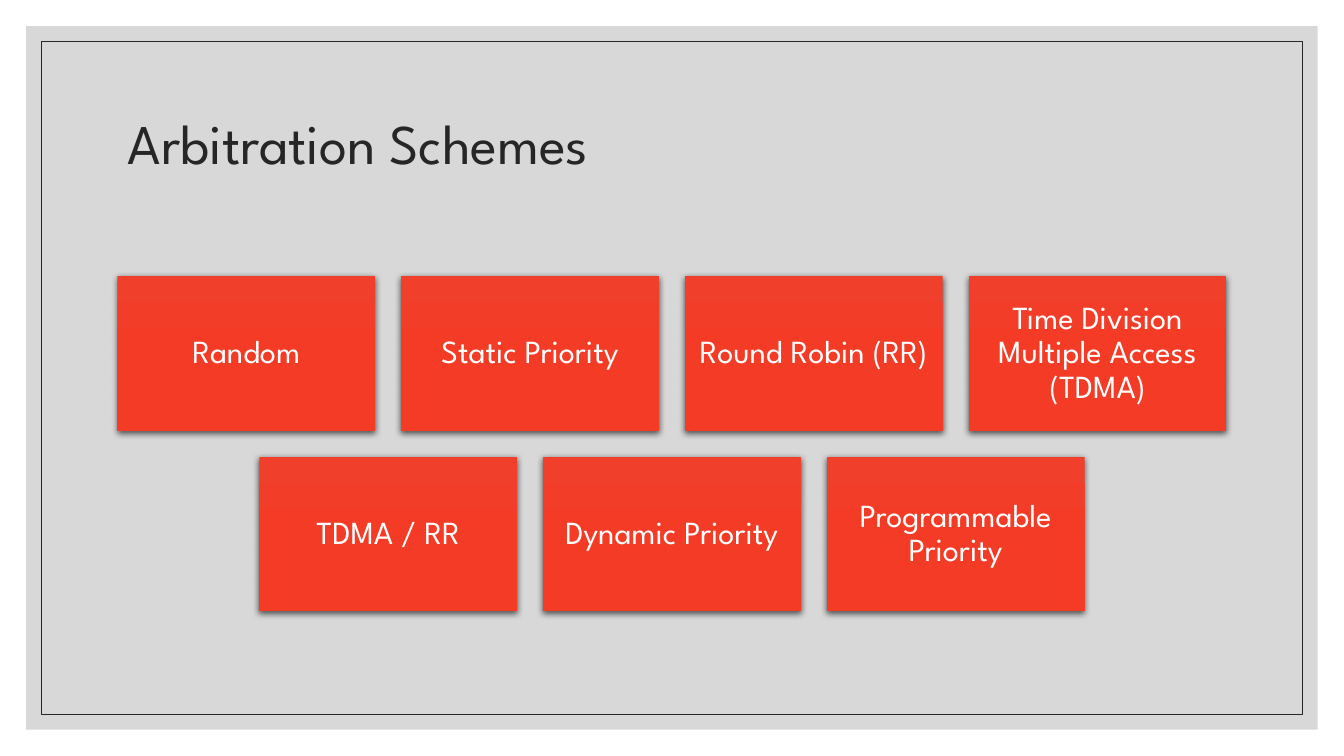
from lxml import etree
from pptx import Presentation
from pptx.dml.color import RGBColor
from pptx.enum.shapes import MSO_SHAPE as Preset
from pptx.enum.text import MSO_ANCHOR as Anchor, MSO_AUTO_SIZE as AutoSize, PP_ALIGN as Align
from pptx.oxml import parse_xml
from pptx.oxml.ns import nsdecls, qn
from pptx.util import Cm, Pt

SLIDE_WIDTH, SLIDE_HEIGHT = 33.87, 19.05
PANEL_MARGIN, BORDER_MARGIN = 0.66, 1.04
CARD_WIDTH, CARD_HEIGHT, CARD_GAP = 6.5, 3.9, 0.65
CARDS_TOP = 6.96

FONT = "League Spartan"
GREY = RGBColor(0xBF, 0xBF, 0xBF)
DARK = RGBColor(0x26, 0x26, 0x26)
WHITE = RGBColor(0xFF, 0xFF, 0xFF)
BLACK = RGBColor(0x00, 0x00, 0x00)
CARD_STOPS = [
    (0, RGBColor(0xF0, 0x3F, 0x2B)),
    (50, RGBColor(0xF4, 0x3B, 0x26)),
    (100, RGBColor(0xF3, 0x3B, 0x26)),
]

SCHEME_ROWS = [
    ["Random", "Static Priority", "Round Robin (RR)", "Time Division Multiple Access (TDMA)"],
    ["TDMA / RR", "Dynamic Priority", "Programmable Priority"],
]


def write_text(shape, text, size, color, align):
    """Fill a shape with one vertically centred paragraph."""
    frame = shape.text_frame
    frame.text = text
    frame.word_wrap = True
    frame.auto_size = AutoSize.NONE
    frame.vertical_anchor = Anchor.MIDDLE
    paragraph = frame.paragraphs[0]
    paragraph.alignment = align
    paragraph.line_spacing = 0.9
    paragraph.font.name = FONT
    paragraph.font.size = Pt(size)
    paragraph.font.color.rgb = color


def add_inset_rectangle(slide, margin):
    """Add a rectangle at an equal distance from all slide edges."""
    rectangle = slide.shapes.add_shape(
        Preset.RECTANGLE, Cm(margin), Cm(margin),
        Cm(SLIDE_WIDTH - 2 * margin), Cm(SLIDE_HEIGHT - 2 * margin))
    rectangle.shadow.inherit = False
    return rectangle


def add_backdrop(slide):
    """Add the translucent grey panel and its thin border."""
    panel = add_inset_rectangle(slide, PANEL_MARGIN)
    panel.fill.solid()
    panel.fill.fore_color.rgb = GREY
    panel.line.fill.background()
    panel_color = panel.element.spPr.find(qn("a:solidFill")).find(qn("a:srgbClr"))
    etree.SubElement(panel_color, qn("a:alpha"), val="60000")

    border = add_inset_rectangle(slide, BORDER_MARGIN)
    border.fill.background()
    border.line.color.rgb = DARK
    border.line.width = Pt(0.5)


def add_title(slide, text):
    """Place the title placeholder in front of the backdrop."""
    title = slide.shapes.title
    title.left, title.top = Cm(2.97), Cm(1.78)
    title.width, title.height = Cm(27.94), Cm(3.81)
    write_text(title, text, 40, DARK, Align.LEFT)
    title.element.getparent().append(title.element)


def style_card(card):
    """Give a card its vertical red gradient and soft shadow."""
    stops = "".join(
        f'<a:gs pos="{percent * 1000}"><a:srgbClr val="{color}"/></a:gs>'
        for percent, color in CARD_STOPS)
    properties = card.element.spPr
    properties.append(parse_xml(
        f'<a:gradFill {nsdecls("a")} rotWithShape="1"><a:gsLst>{stops}</a:gsLst>'
        '<a:lin ang="5400000" scaled="0"/></a:gradFill>'))
    card.line.fill.background()
    properties.append(parse_xml(
        f'<a:effectLst {nsdecls("a")}><a:outerShdw blurRad="{Pt(4.5)}" dist="{Pt(1.5)}" '
        f'dir="5400000" algn="ctr" rotWithShape="0"><a:srgbClr val="{BLACK}">'
        '<a:alpha val="63000"/></a:srgbClr></a:outerShdw></a:effectLst>'))


def add_card(slide, scheme, left, top):
    """Add one card naming an arbitration scheme."""
    card = slide.shapes.add_shape(
        Preset.RECTANGLE, Cm(left), Cm(top), Cm(CARD_WIDTH), Cm(CARD_HEIGHT))
    style_card(card)
    write_text(card, scheme, 23, WHITE, Align.CENTER)


def add_card_rows(slide):
    """Lay out the scheme cards in rows centred on the slide."""
    for row, schemes in enumerate(SCHEME_ROWS):
        row_width = len(schemes) * (CARD_WIDTH + CARD_GAP) - CARD_GAP
        row_left = (SLIDE_WIDTH - row_width) / 2
        top = CARDS_TOP + row * (CARD_HEIGHT + CARD_GAP)
        for column, scheme in enumerate(schemes):
            add_card(slide, scheme, row_left + column * (CARD_WIDTH + CARD_GAP), top)


def main():
    """Build and save the slide."""
    deck = Presentation()
    deck.slide_width, deck.slide_height = Cm(SLIDE_WIDTH), Cm(SLIDE_HEIGHT)
    slide = deck.slides.add_slide(deck.slide_layouts.get_by_name("Title Only"))
    add_backdrop(slide)
    add_title(slide, "Arbitration Schemes")
    add_card_rows(slide)
    deck.save("out.pptx")


main()
